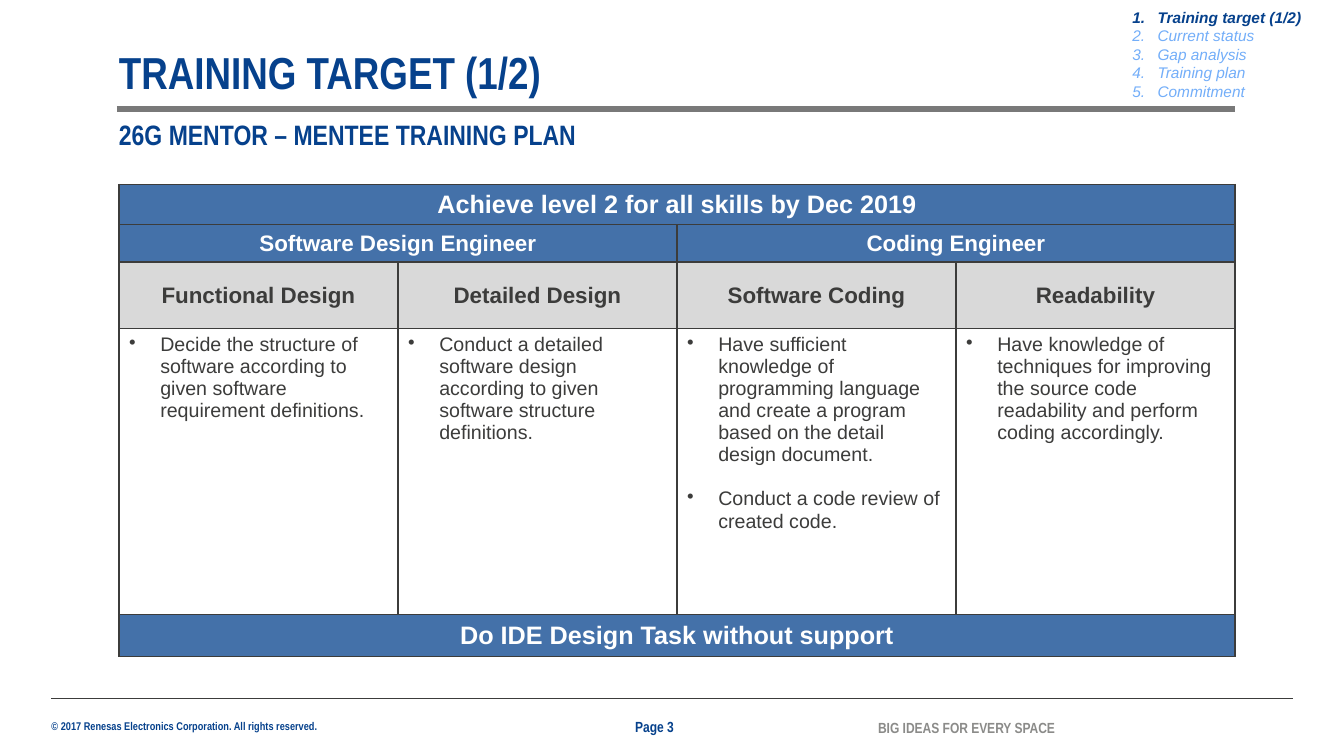
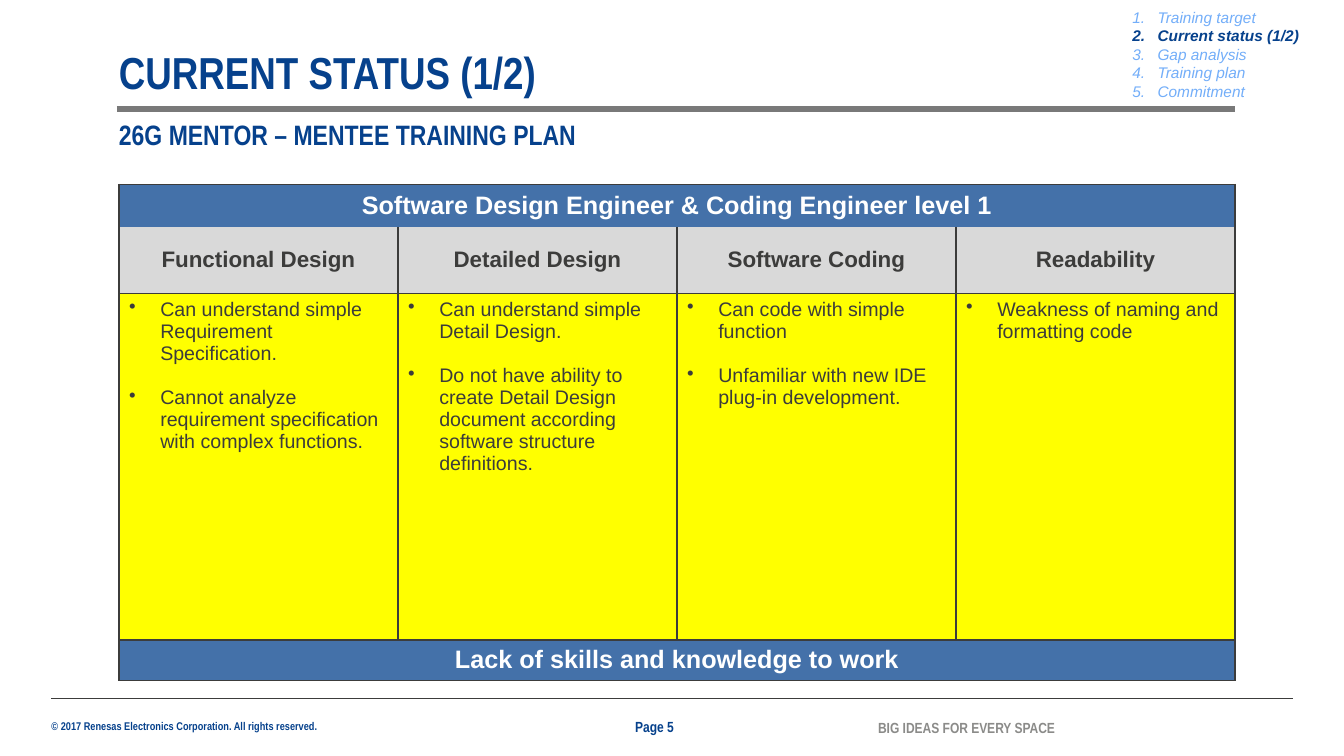
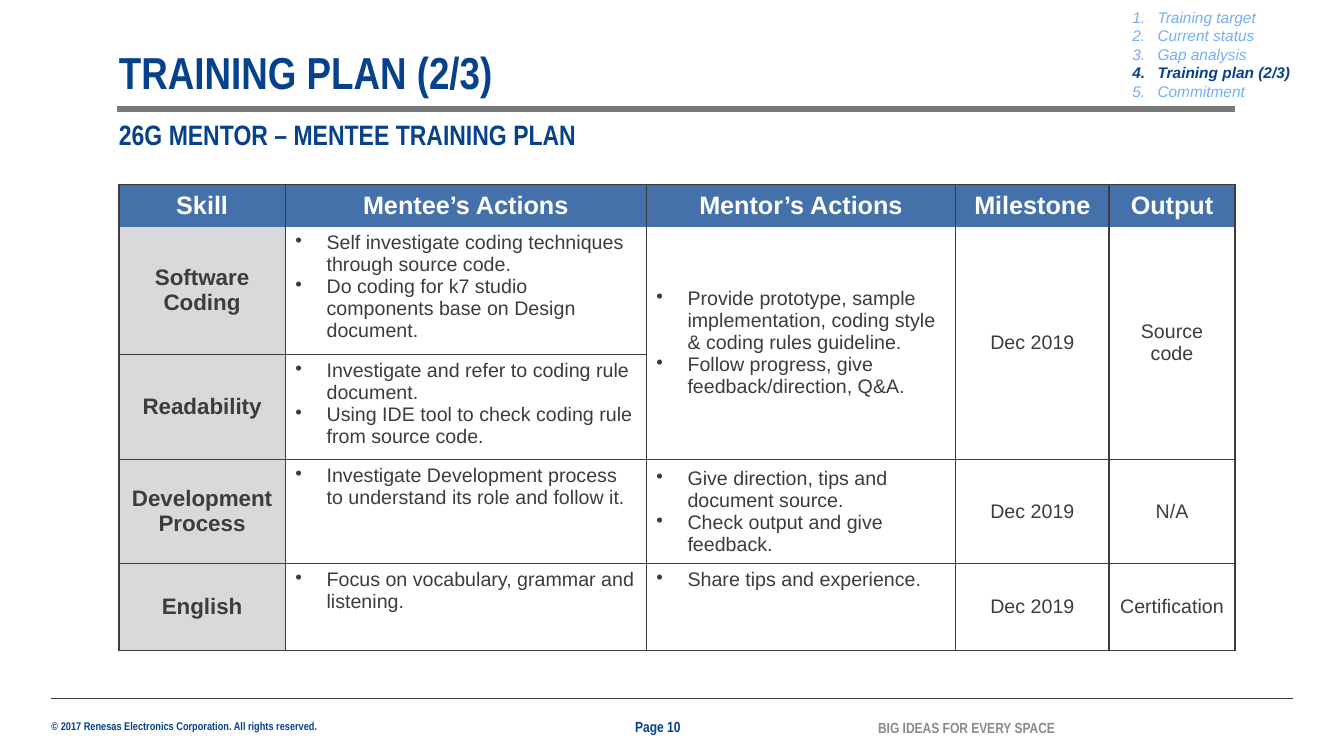
from dataclasses import dataclass

from lxml import etree
from pptx import Presentation
from pptx.dml.color import RGBColor
from pptx.enum.shapes import MSO_CONNECTOR
from pptx.enum.text import MSO_ANCHOR, PP_ALIGN
from pptx.oxml.ns import qn
from pptx.util import Inches, Pt

STRAIGHT = MSO_CONNECTOR.STRAIGHT
TOP, MIDDLE, BOTTOM = MSO_ANCHOR.TOP, MSO_ANCHOR.MIDDLE, MSO_ANCHOR.BOTTOM
LEFT, CENTER = PP_ALIGN.LEFT, PP_ALIGN.CENTER


@dataclass(frozen=True)
class Theme:
    navy: str = "06418C"
    sky: str = "73AEF9"
    blue: str = "4471A9"
    ink: str = "3C3C3B"
    rule: str = "797979"
    tagline: str = "8B8B89"
    gray: str = "D9D9D9"
    yellow: str = "FFFF00"
    white: str = "FFFFFF"
    body_font: str = "Arial"
    title_font: str = "Arial Narrow"
    title_size: float = 32
    subtitle_size: float = 20
    band_size: float = 18
    label_size: float = 16
    body_size: float = 14
    agenda_size: float = 11
    footer_size: float = 10.5
    copyright_size: float = 8


THEME = Theme()


@dataclass(frozen=True)
class Box:
    left: float
    top: float
    width: float
    height: float

    def share(self, left, top, width, height):
        return Box(self.left + self.width * left / 100, self.top + self.height * top / 100,
                   self.width * width / 100, self.height * height / 100)

    def lengths(self):
        return [Inches(value) for value in (self.left, self.top, self.width, self.height)]


@dataclass(frozen=True)
class CellStyle:
    fill: str
    color: str
    size: float
    bold: bool = False
    align: PP_ALIGN = CENTER
    anchor: MSO_ANCHOR = MIDDLE
    bullet: bool = False
    gap: float = 0


@dataclass(frozen=True)
class Cell:
    style: CellStyle
    lines: tuple
    rows: int = 1
    columns: int = 1


PAGE = Box(0, 0, 13.33, 7.5)
HEADER = PAGE.share(8.85, 6.67, 83.05, 13.33)
AGENDA = PAGE.share(84.25, 1.07, 13.88, 12.4)
CONTENT = PAGE.share(8.85, 24.4, 83.05, 66)
FOOTER = PAGE.share(3.83, 92.4, 92.34, 7.6)

TOPICS = ("Training target", "Current status", "Gap analysis", "Training plan", "Commitment")

BAND = CellStyle(THEME.blue, THEME.white, THEME.band_size, bold=True)
SUBBAND = CellStyle(THEME.blue, THEME.white, THEME.label_size, bold=True)
LABEL = CellStyle(THEME.gray, THEME.ink, THEME.label_size, bold=True)
PLAIN = CellStyle(THEME.white, THEME.ink, THEME.body_size)
BULLETS = CellStyle(THEME.white, THEME.ink, THEME.body_size, align=LEFT, anchor=TOP, bullet=True)
MIDDLE_BULLETS = CellStyle(THEME.white, THEME.ink, THEME.body_size, align=LEFT, bullet=True)
TARGET_BULLETS = CellStyle(THEME.white, THEME.ink, THEME.body_size, align=LEFT, anchor=TOP,
                           bullet=True, gap=16)
STATUS_BULLETS = CellStyle(THEME.yellow, THEME.ink, THEME.body_size, align=LEFT, anchor=TOP,
                           bullet=True, gap=16)


def set_font(paragraph, name, size, color, bold=False, italic=False):
    font = paragraph.font
    font.name, font.size, font.bold, font.italic = name, Pt(size), bold, italic
    font.color.rgb = RGBColor.from_string(color)


def add_bullet(paragraph, indent, kind, **attributes):
    properties = paragraph._p.get_or_add_pPr()
    properties.set("marL", str(Inches(indent)))
    properties.set("indent", str(-Inches(indent)))
    etree.SubElement(properties, qn(kind), attributes)


def add_text_frame(slide, box, anchor=TOP, wrap=True):
    frame = slide.shapes.add_textbox(*box.lengths()).text_frame
    frame.margin_left = frame.margin_top = frame.margin_right = frame.margin_bottom = 0
    frame.vertical_anchor = anchor
    frame.word_wrap = wrap
    return frame


def add_label(slide, box, text, size, color, anchor=MIDDLE, wrap=True, spacing=1.0):
    paragraph = add_text_frame(slide, box, anchor, wrap).paragraphs[0]
    paragraph.text = text
    paragraph.line_spacing = spacing
    set_font(paragraph, THEME.title_font, size, color, bold=True)


def add_rule(slide, box, color, width):
    left, top, length, _ = box.lengths()
    line = slide.shapes.add_connector(STRAIGHT, left, top, left + length, top)
    line.line.color.rgb = RGBColor.from_string(color)
    line.line.width = Pt(width)
    etree.SubElement(line._element.spPr, qn("a:effectLst"))


def add_header(slide, box, title):
    add_label(slide, box.share(0, 0, 84.2, 48), title, THEME.title_size, THEME.navy,
              anchor=BOTTOM, spacing=0.9)
    add_rule(slide, box.share(-0.18, 58, 100.18, 0), THEME.rule, 4)
    add_label(slide, box.share(0, 70, 84.2, 30), "26G MENTOR – MENTEE TRAINING PLAN",
              THEME.subtitle_size, THEME.navy, anchor=BOTTOM, spacing=0.9)


def add_agenda(slide, box, active, active_text):
    frame = add_text_frame(slide, box)
    for index, topic in enumerate(TOPICS):
        current = index == active
        paragraph = frame.add_paragraph() if index else frame.paragraphs[0]
        paragraph.text = active_text if current else topic
        paragraph.line_spacing = Pt(13.2)
        add_bullet(paragraph, 0.25, "a:buAutoNum", type="arabicPeriod")
        set_font(paragraph, THEME.body_font, THEME.agenda_size,
                 THEME.navy if current else THEME.sky, bold=current, italic=True)


def add_footer(slide, box, number):
    add_rule(slide, box.share(0, 0, 100, 0), THEME.ink, 0.5)
    add_label(slide, box.share(0, 36.84, 21.77, 22.81),
              "© 2017 Renesas Electronics Corporation. All rights reserved.",
              THEME.copyright_size, THEME.navy, anchor=TOP, wrap=False)
    add_label(slide, box.share(47.04, 33.33, 5.93, 31.58), f"Page {number}",
              THEME.footer_size, THEME.navy)
    add_label(slide, box.share(66.61, 35.09, 14.62, 31.58), "BIG IDEAS FOR EVERY SPACE",
              THEME.footer_size, THEME.tagline)


def set_borders(cell, open_edge):
    properties = cell._tc.get_or_add_tcPr()
    for edge in ("a:lnL", "a:lnR", "a:lnT", "a:lnB"):
        line = etree.SubElement(properties, qn(edge), w=str(Pt(1)))
        if edge == open_edge:
            etree.SubElement(line, qn("a:noFill"))
        else:
            fill = etree.SubElement(line, qn("a:solidFill"))
            etree.SubElement(fill, qn("a:srgbClr"), val=THEME.ink)


def fill_cell(cell, content):
    style = content.style
    cell.vertical_anchor = style.anchor
    cell.fill.solid()
    cell.fill.fore_color.rgb = RGBColor.from_string(style.fill)
    for index, text in enumerate(content.lines):
        paragraph = cell.text_frame.add_paragraph() if index else cell.text_frame.paragraphs[0]
        paragraph.text = text
        paragraph.alignment = style.align
        if index and style.gap:
            paragraph.space_before = Pt(style.gap)
        if style.bullet:
            add_bullet(paragraph, 0.31, "a:buChar", char="•")
        set_font(paragraph, THEME.body_font, style.size, style.color, style.bold)


def add_grid(slide, box, column_weights, row_heights, rows, open_header=False):
    area = Box(box.left, box.top, box.width, sum(row_heights))
    table = slide.shapes.add_table(len(row_heights), len(column_weights), *area.lengths()).table
    table.first_row = table.horz_banding = False
    for column, weight in zip(table.columns, column_weights):
        column.width = Inches(box.width * weight / sum(column_weights))
    for row, height in zip(table.rows, row_heights):
        row.height = Inches(height)
    open_edges = {0: "a:lnB", 1: "a:lnT"} if open_header else {}
    for row_index, contents in enumerate(rows):
        for column_index in range(len(column_weights)):
            set_borders(table.cell(row_index, column_index), open_edges.get(row_index))
        column_index = 0
        for content in contents:
            cell = table.cell(row_index, column_index)
            if content.rows * content.columns > 1:
                cell.merge(table.cell(row_index + content.rows - 1,
                                      column_index + content.columns - 1))
            fill_cell(cell, content)
            column_index += content.columns


def cells(style, *texts, columns=1):
    return [Cell(style, text if isinstance(text, tuple) else (text,), columns=columns)
            for text in texts]


SKILLS = cells(LABEL, "Functional Design", "Detailed Design", "Software Coding", "Readability")


def add_target(slide, box):
    add_grid(slide, box, [1] * 4, [0.4, 0.37, 0.66, 2.84, 0.41], [
        cells(BAND, "Achieve level 2 for all skills by Dec 2019", columns=4),
        cells(SUBBAND, "Software Design Engineer", "Coding Engineer", columns=2),
        SKILLS,
        cells(TARGET_BULLETS,
              "Decide the structure of software according to given software requirement definitions.",
              "Conduct a detailed software design according to given software structure definitions.",
              ("Have sufficient knowledge of programming language and create a program "
               "based on the detail design document.",
               "Conduct a code review of created code."),
              "Have knowledge of techniques for improving the source code readability "
              "and perform coding accordingly."),
        cells(BAND, "Do IDE Design Task without support", columns=4),
    ])


def add_status(slide, box):
    add_grid(slide, box, [1] * 4, [0.42, 0.66, 3.44, 0.39], [
        cells(BAND, "Software Design Engineer & Coding Engineer level 1", columns=4),
        SKILLS,
        cells(STATUS_BULLETS,
              ("Can understand simple Requirement Specification.",
               "Cannot analyze requirement specification with complex functions."),
              ("Can understand simple Detail Design.",
               "Do not have ability to create Detail Design document according "
               "software structure definitions."),
              ("Can code with simple function", "Unfamiliar with new IDE plug-in development."),
              "Weakness of naming and formatting code"),
        cells(BAND, "Lack of skills and knowledge to work", columns=4),
    ], open_header=True)


def add_plan(slide, box):
    add_grid(slide, box, [1.65, 3.58, 3.07, 1.52, 1.25], [0.42, 1.26, 1.04, 1.03, 0.86], [
        cells(BAND, "Skill", "Mentee’s Actions", "Mentor’s Actions", "Milestone", "Output"),
        [*cells(LABEL, "Software Coding"),
         *cells(BULLETS, ("Self investigate coding techniques through source code.",
                          "Do coding for k7 studio components base on Design document.")),
         Cell(MIDDLE_BULLETS,
              ("Provide prototype, sample implementation, coding style & coding rules guideline.",
               "Follow progress, give feedback/direction, Q&A."), rows=2),
         Cell(PLAIN, ("Dec 2019",), rows=2),
         Cell(PLAIN, ("Source code",), rows=2)],
        [*cells(LABEL, "Readability"),
         *cells(BULLETS, ("Investigate and refer to coding rule document.",
                          "Using IDE tool to check coding rule from source code."))],
        [*cells(LABEL, ("Development", "Process")),
         *cells(BULLETS, "Investigate Development process to understand its role and follow it."),
         *cells(MIDDLE_BULLETS, ("Give direction, tips and document source.",
                                 "Check output and give feedback.")),
         *cells(PLAIN, "Dec 2019", "N/A")],
        [*cells(LABEL, "English"),
         *cells(BULLETS, "Focus on vocabulary, grammar and listening.",
                "Share tips and experience."),
         *cells(PLAIN, "Dec 2019", "Certification")],
    ], open_header=True)


def add_training_slide(presentation, topic, step, number, add_content):
    slide = presentation.slides.add_slide(presentation.slide_layouts[6])
    heading = f"{TOPICS[topic]} ({step})"
    add_header(slide, HEADER, heading.upper())
    add_agenda(slide, AGENDA, topic, heading)
    add_content(slide, CONTENT)
    add_footer(slide, FOOTER, number)


def main():
    presentation = Presentation()
    presentation.slide_width = Inches(PAGE.width)
    presentation.slide_height = Inches(PAGE.height)
    add_training_slide(presentation, 0, "1/2", 3, add_target)
    add_training_slide(presentation, 1, "1/2", 5, add_status)
    add_training_slide(presentation, 3, "2/3", 10, add_plan)
    presentation.save("out.pptx")


if __name__ == "__main__":
    main()
